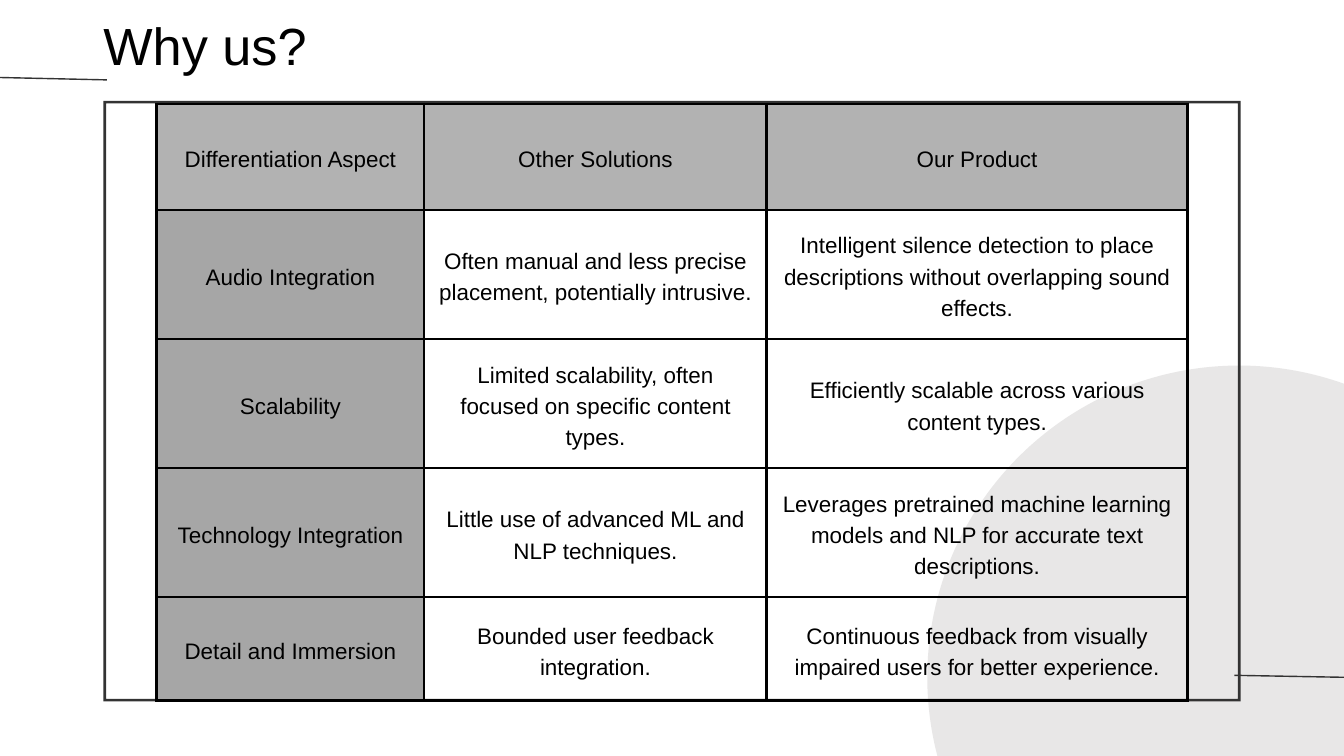
from lxml import etree
from pptx import Presentation
from pptx.dml.color import RGBColor
from pptx.enum import shapes as kinds, text as modes
from pptx.oxml import ns
from pptx.util import Cm, Pt

TITLE = "Why us?"
ROWS = [
    ("Differentiation Aspect", "Other Solutions", "Our Product"),
    ("Audio Integration",
     "Often manual and less precise placement, potentially intrusive.",
     "Intelligent silence detection to place descriptions without overlapping sound effects."),
    ("Scalability",
     "Limited scalability, often focused on specific content types.",
     "Efficiently scalable across various content types."),
    ("Technology Integration",
     "Little use of advanced ML and NLP techniques.",
     "Leverages pretrained machine learning models and NLP for accurate text descriptions."),
    ("Detail and Immersion",
     "Bounded user feedback integration.",
     "Continuous feedback from visually impaired users for better experience."),
]
WIDTHS = [10.11, 12.95, 15.9]
HEIGHTS = [3.99, 4.88, 4.88, 4.88, 3.91]
LINES = [(46.66, 25.53, 52.2, 25.63), (-0.43, 2.92, 4.04, 3.02)]
BLACK, DARK, PALE = "000000", "333333", "E8E7E7"
HEAD, SIDE = "B2B2B2", "A6A6A6"
EDGE = 0.1


def paint(color, code):
    color.rgb = RGBColor.from_string(code)


def style(para, size, lead):
    para.line_spacing = Pt(lead)
    for run in para.runs:
        run.font.name = "Arial"
        run.font.size = Pt(size)
        paint(run.font.color, BLACK)


def add_form(slide, kind, box, code):
    form = slide.shapes.add_shape(kind, *map(Cm, box))
    form.shadow.inherit = False
    form.fill.solid()
    paint(form.fill.fore_color, code)
    form.line.fill.background()
    return form


def add_line(slide, ends):
    line = slide.shapes.add_connector(kinds.MSO_CONNECTOR.STRAIGHT, *map(Cm, ends))
    line.line.width = Pt(1.5)
    paint(line.line.color, DARK)
    etree.SubElement(line._element.spPr, ns.qn("a:effectLst"))


def add_edges(cell):
    props = cell._tc.get_or_add_tcPr()
    for side in "LRTB":
        edge = etree.SubElement(props, ns.qn("a:ln" + side), w=str(Pt(3)))
        fill = etree.SubElement(edge, ns.qn("a:solidFill"))
        etree.SubElement(fill, ns.qn("a:srgbClr"), val=BLACK)


def fill_cell(cell, words, code):
    cell.text_frame.text = words
    cell.vertical_anchor = modes.MSO_ANCHOR.MIDDLE
    cell.margin_left = cell.margin_right = Cm(0.53)
    cell.margin_top = cell.margin_bottom = Cm(0.53)
    para = cell.text_frame.paragraphs[0]
    para.alignment = modes.PP_ALIGN.CENTER
    style(para, 24, 33.6)
    add_edges(cell)
    if code:
        cell.fill.solid()
        paint(cell.fill.fore_color, code)
    else:
        cell.fill.background()


def add_grid(slide):
    box = (5.92, 3.94, sum(WIDTHS), sum(HEIGHTS))
    grid = slide.shapes.add_table(len(ROWS), len(WIDTHS), *map(Cm, box)).table
    grid.first_row = grid.horz_banding = False
    for col, width in zip(grid.columns, WIDTHS):
        col.width = Cm(width)
    for row, height in zip(grid.rows, HEIGHTS):
        row.height = Cm(height)
    for r, row in enumerate(ROWS):
        for c, words in enumerate(row):
            code = HEAD if r == 0 else SIDE if c == 0 else None
            fill_cell(grid.cell(r, c), words, code)


def add_title(slide):
    frame = slide.shapes.add_textbox(Cm(3.91), Cm(0.13), Cm(17.15), Cm(2.74)).text_frame
    frame.word_wrap = True
    frame.margin_left = frame.margin_right = 0
    frame.margin_top = frame.margin_bottom = 0
    frame.text = TITLE
    style(frame.paragraphs[0], 56, 77.3)


def main():
    deck = Presentation()
    deck.slide_width, deck.slide_height = Cm(50.8), Cm(28.58)
    slide = deck.slides.add_slide(deck.slide_layouts[6])
    add_form(slide, kinds.MSO_SHAPE.OVAL, (35.05, 13.82, 23.57, 23.57), PALE)
    box = (3.91, 3.81, 42.98, 22.71)
    frame = add_form(slide, kinds.MSO_SHAPE.FRAME, box, DARK)
    frame.adjustments[0] = EDGE / min(box[2:])
    for ends in LINES:
        add_line(slide, ends)
    add_grid(slide)
    add_title(slide)
    deck.save("out.pptx")


if __name__ == "__main__":
    main()
